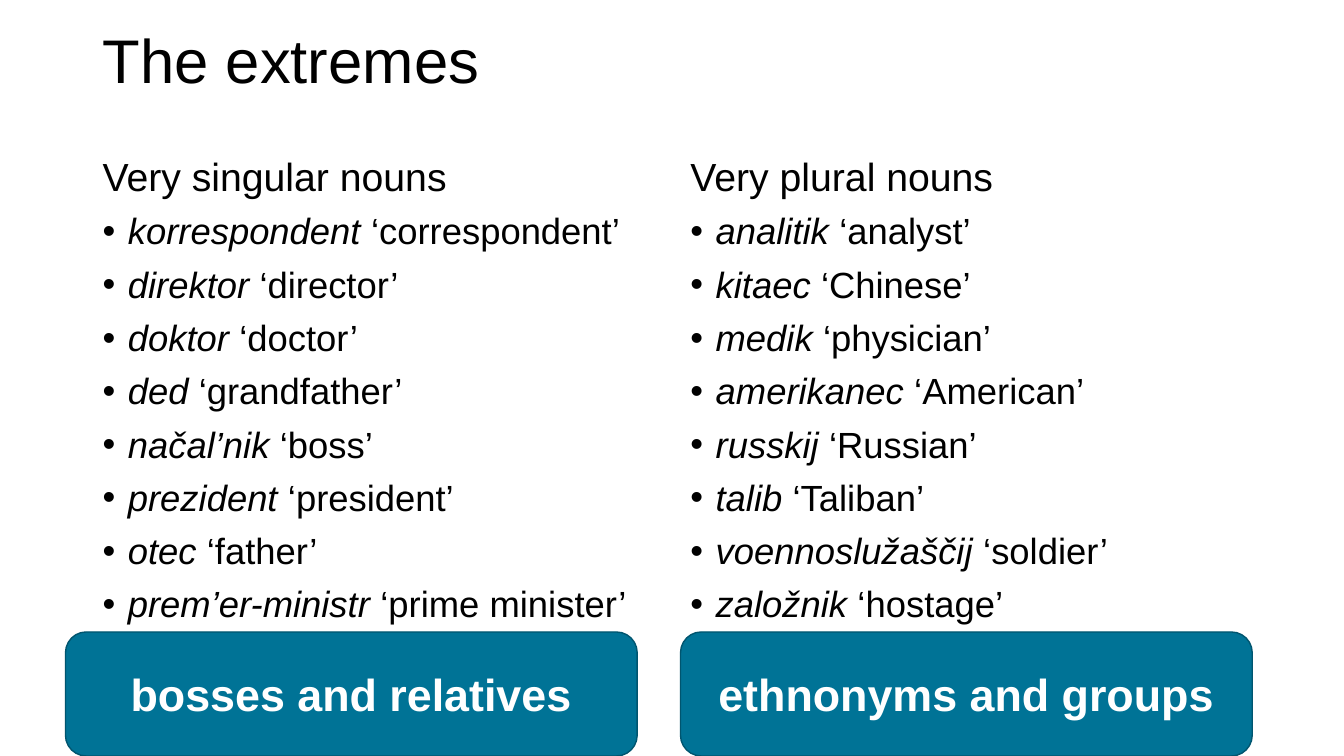
from dataclasses import dataclass

from lxml.etree import SubElement
from pptx import Presentation
from pptx.dml.color import RGBColor
from pptx.enum.shapes import MSO_SHAPE as Preset
from pptx.enum.text import MSO_ANCHOR as Anchor, PP_ALIGN as Align
from pptx.oxml.ns import qn
from pptx.util import Inches, Pt


@dataclass(frozen=True)
class Theme:
    font: str = "Arial"
    text: RGBColor = RGBColor(0x00, 0x00, 0x00)
    white: RGBColor = RGBColor(0xFF, 0xFF, 0xFF)
    teal: RGBColor = RGBColor(0x00, 0x73, 0x96)
    outline: RGBColor = RGBColor(0x00, 0x55, 0x6F)
    title_size: int = 44
    heading_size: int = 28
    noun_size: int = 26
    summary_size: int = 32


THEME = Theme()


def add_text(paragraph, text, size, color=THEME.text, bold=False, italic=False):
    run = paragraph.add_run()
    run.text = text
    font = run.font
    font.name, font.size = THEME.font, Pt(size)
    font.bold, font.italic = bold, italic
    font.color.rgb = color


def make_bullet(paragraph):
    """Give the paragraph a round bullet with a hanging indent."""
    properties = paragraph._p.get_or_add_pPr()
    properties.set("marL", str(Inches(0.25)))
    properties.set("indent", str(-Inches(0.25)))
    SubElement(properties, qn("a:buFont")).set("typeface", THEME.font)
    SubElement(properties, qn("a:buChar")).set("char", "•")


COLUMNS = [
    {
        "left": 0.92,
        "summary_left": 0.65,
        "heading": "Very singular nouns",
        "nouns": [
            ("korrespondent", "correspondent"),
            ("direktor", "director"),
            ("doktor", "doctor"),
            ("ded", "grandfather"),
            ("načal’nik", "boss"),
            ("prezident", "president"),
            ("otec", "father"),
            ("prem’er-ministr", "prime minister"),
        ],
        "summary": "bosses and relatives",
    },
    {
        "left": 6.75,
        "summary_left": 6.75,
        "heading": "Very plural nouns",
        "nouns": [
            ("analitik", "analyst"),
            ("kitaec", "Chinese"),
            ("medik", "physician"),
            ("amerikanec", "American"),
            ("russkij", "Russian"),
            ("talib", "Taliban"),
            ("voennoslužaščij", "soldier"),
            ("založnik", "hostage"),
        ],
        "summary": "ethnonyms and groups",
    },
]
COLUMN_WIDTH = Inches(5.67)

presentation = Presentation()
presentation.slide_width = Inches(13.33)
presentation.slide_height = Inches(7.5)
slide = presentation.slides.add_slide(presentation.slide_layouts[6])

title = slide.shapes.add_textbox(Inches(0.92), Inches(-0.09), Inches(11.5), Inches(1.45))
title_frame = title.text_frame
title_frame.word_wrap = True
title_frame.vertical_anchor = Anchor.MIDDLE
title_frame.paragraphs[0].line_spacing = 0.9
add_text(title_frame.paragraphs[0], "The extremes", size=THEME.title_size)

for column in COLUMNS:
    noun_list = slide.shapes.add_textbox(
        Inches(column["left"]), Inches(1.51), COLUMN_WIDTH, Inches(4.76)
    )
    list_frame = noun_list.text_frame
    list_frame.word_wrap = True
    heading = list_frame.paragraphs[0]
    heading.line_spacing = 0.9
    add_text(heading, column["heading"], size=THEME.heading_size)

    for noun, meaning in column["nouns"]:
        paragraph = list_frame.add_paragraph()
        paragraph.line_spacing = 0.9
        paragraph.space_before = Pt(10)
        make_bullet(paragraph)
        add_text(paragraph, noun, size=THEME.noun_size, italic=True)
        add_text(paragraph, f" ‘{meaning}’", size=THEME.noun_size)

    summary = slide.shapes.add_shape(
        Preset.ROUNDED_RECTANGLE,
        Inches(column["summary_left"]), Inches(6.27), COLUMN_WIDTH, Inches(1.23),
    )
    summary.shadow.inherit = False
    summary.fill.solid()
    summary.fill.fore_color.rgb = THEME.teal
    summary.line.color.rgb = THEME.outline
    summary.line.width = Pt(1)
    summary_frame = summary.text_frame
    summary_frame.word_wrap = True
    summary_frame.vertical_anchor = Anchor.MIDDLE
    summary_frame.paragraphs[0].alignment = Align.CENTER
    add_text(
        summary_frame.paragraphs[0], column["summary"],
        size=THEME.summary_size, color=THEME.white, bold=True,
    )

presentation.save("out.pptx")
